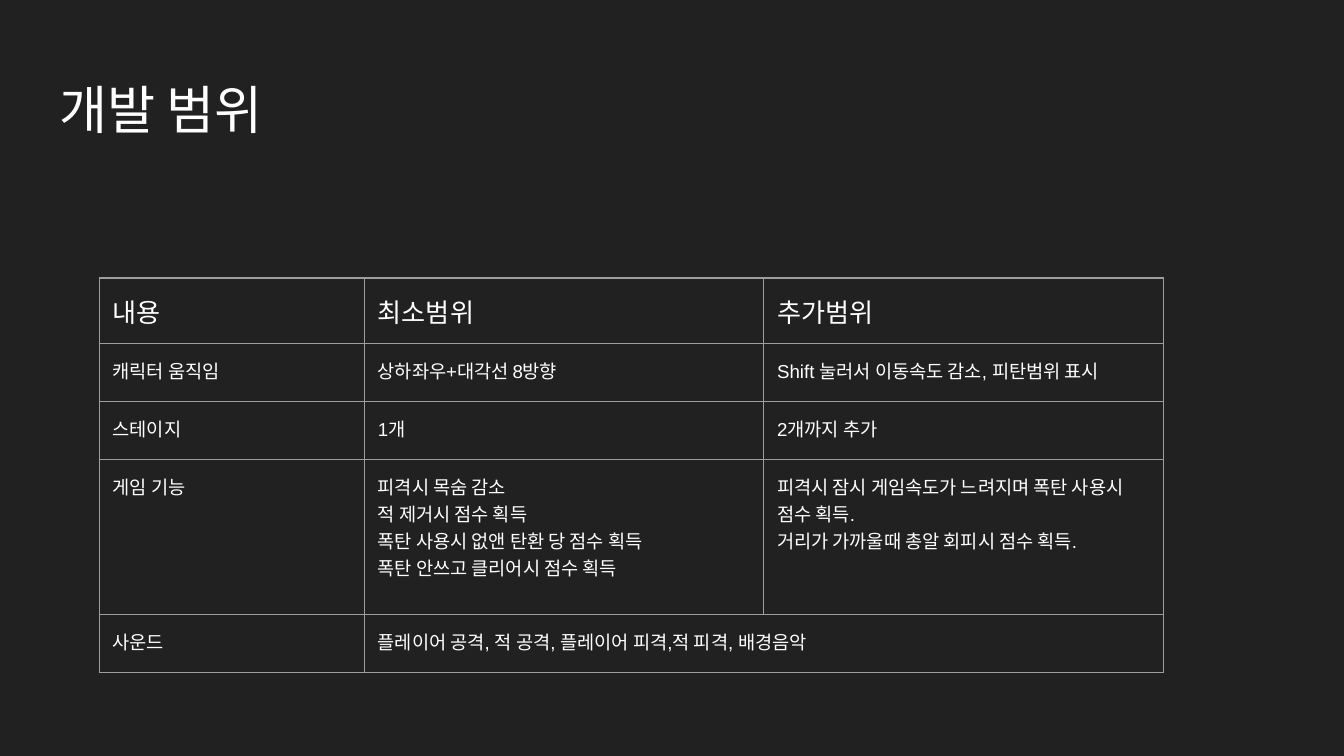
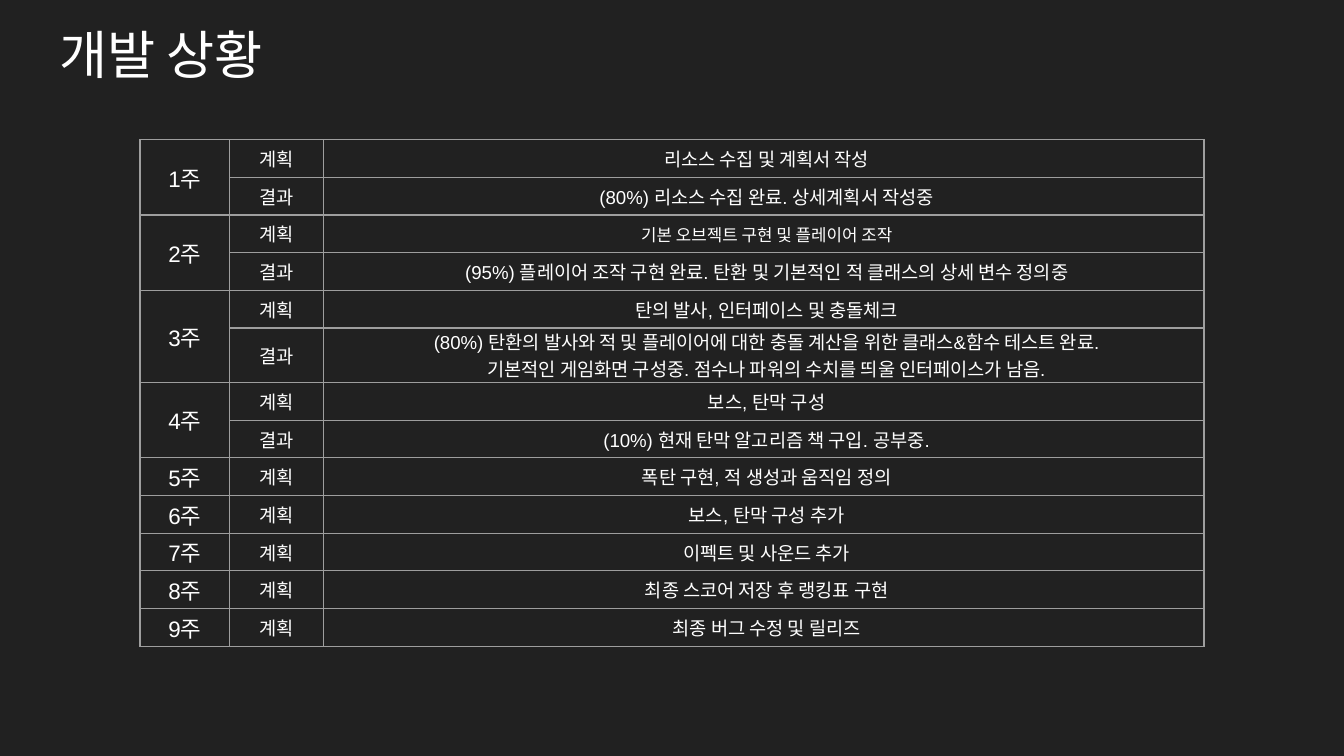
from lxml.etree import SubElement
from pptx import Presentation
from pptx.dml.color import RGBColor
from pptx.enum.text import MSO_ANCHOR as ANCHOR, PP_ALIGN as ALIGN
from pptx.oxml.ns import qn
from pptx.util import Pt

BACK = RGBColor(0x21, 0x21, 0x21)
WHITE = RGBColor(0xFF, 0xFF, 0xFF)
GRID = RGBColor(0x9E, 0x9E, 0x9E)
FONT = "Arial"
PAD = 7.2

prs = Presentation()
prs.slide_width, prs.slide_height = Pt(720), Pt(405)
fill = prs.slide_master.background.fill
fill.solid()
fill.fore_color.rgb = BACK


def write(tf, text, size, align):
    """Fill a text frame, one paragraph per line."""
    for i, line in enumerate(text.split("\n")):
        p = tf.paragraphs[0] if i == 0 else tf.add_paragraph()
        p.alignment = align
        r = p.add_run()
        r.text = line
        r.font.size, r.font.name = Pt(size), FONT
        r.font.color.rgb = WHITE


def add_page(title, title_top, left, top, widths, heights):
    """Add a titled slide with an empty outlined table; return the table."""
    s = prs.slides.add_slide(prs.slide_layouts[5])
    sp = s.shapes.title
    sp.left, sp.top, sp.width, sp.height = Pt(24.5), Pt(title_top), Pt(671), Pt(45.4)
    tf = sp.text_frame
    tf.margin_left = tf.margin_right = tf.margin_top = tf.margin_bottom = Pt(PAD)
    tf.vertical_anchor = ANCHOR.MIDDLE
    write(tf, title, 28, ALIGN.LEFT)

    table = s.shapes.add_table(len(heights), len(widths), Pt(left), Pt(top),
                               Pt(sum(widths)), Pt(sum(heights))).table
    table.first_row = table.horz_banding = False
    for col, width in zip(table.columns, widths):
        col.width = Pt(width)
    for row, height in zip(table.rows, heights):
        row.height = Pt(height)
    for cell in table.iter_cells():
        tcPr = cell._tc.get_or_add_tcPr()
        for side in ("a:lnL", "a:lnR", "a:lnT", "a:lnB"):
            ln = SubElement(tcPr, qn(side), w=str(Pt(0.75)))
            color = SubElement(ln, qn("a:solidFill"))
            SubElement(color, qn("a:srgbClr"), val=str(GRID))
        cell.fill.background()
    return table


# Slide 1: development scope
scope = [
    ("내용", "최소범위", "추가범위"),
    ("캐릭터 움직임", "상하좌우+대각선 8방향", "Shift 눌러서 이동속도 감소, 피탄범위 표시"),
    ("스테이지", "1개", "2개까지 추가"),
    ("게임 기능",
     "피격시 목숨 감소\n적 제거시 점수 획득\n"
     "폭탄 사용시 없앤 탄환 당 점수 획득\n폭탄 안쓰고 클리어시 점수 획득",
     "피격시 잠시 게임속도가 느려지며 폭탄 사용시 점수 획득.\n"
     "거리가 가까울때 총알 회피시 점수 획득."),
    ("사운드", "플레이어 공격, 적 공격, 플레이어 피격,적 피격, 배경음악"),
]
table = add_page("개발 범위", 35.3, 53.2, 149, [142, 214, 214],
                 [34.8, 31.2, 31.2, 83, 31.2])
table.cell(4, 1).merge(table.cell(4, 2))
for i, texts in enumerate(scope):
    for j, text in enumerate(texts):
        cell = table.cell(i, j)
        cell.margin_left = cell.margin_right = Pt(PAD)
        cell.margin_top = cell.margin_bottom = Pt(PAD)
        write(cell.text_frame, text, 14 if i == 0 else 10, ALIGN.LEFT)

# Slide 2: progress by week, a plan and, where known, a result
weeks = [
    ("리소스 수집 및 계획서 작성", "(80%) 리소스 수집 완료. 상세계획서 작성중"),
    ("기본 오브젝트 구현 및 플레이어 조작",
     "(95%) 플레이어 조작 구현 완료. 탄환 및 기본적인 적 클래스의 상세 변수 정의중"),
    ("탄의 발사, 인터페이스 및 충돌체크",
     "(80%) 탄환의 발사와 적 및 플레이어에 대한 충돌 계산을 위한 클래스&함수 테스트 완료.\n"
     "기본적인 게임화면 구성중. 점수나 파워의 수치를 띄울 인터페이스가 남음."),
    ("보스, 탄막 구성", "(10%) 현재 탄막 알고리즘 책 구입. 공부중."),
    ("폭탄 구현, 적 생성과 움직임 정의",),
    ("보스, 탄막 구성 추가",),
    ("이펙트 및 사운드 추가",),
    ("최종 스코어 저장 후 랭킹표 구현",),
    ("최종 버그 수정 및 릴리즈",),
]
heights = [29.2 if "\n" in text else 20.2 for week in weeks for text in week]
table = add_page("개발 상황", 5.8, 75, 74.8, [48, 50.4, 471.6], heights)
for cell in table.iter_cells():
    cell.margin_left = cell.margin_right = cell.margin_top = cell.margin_bottom = 0
    cell.vertical_anchor = ANCHOR.MIDDLE

row = 0
for number, week in enumerate(weeks, 1):
    first = table.cell(row, 0)
    if len(week) > 1:
        first.merge(table.cell(row + 1, 0))
    write(first.text_frame, f"{number}주", 12, ALIGN.CENTER)
    for label, text in zip(("계획", "결과"), week):
        write(table.cell(row, 1).text_frame, label, 10, ALIGN.CENTER)
        cell = table.cell(row, 2)
        cell.margin_left = Pt(2.9)
        write(cell.text_frame, text, 9 if row == 2 else 10, ALIGN.CENTER)
        row += 1

prs.save("out.pptx")
